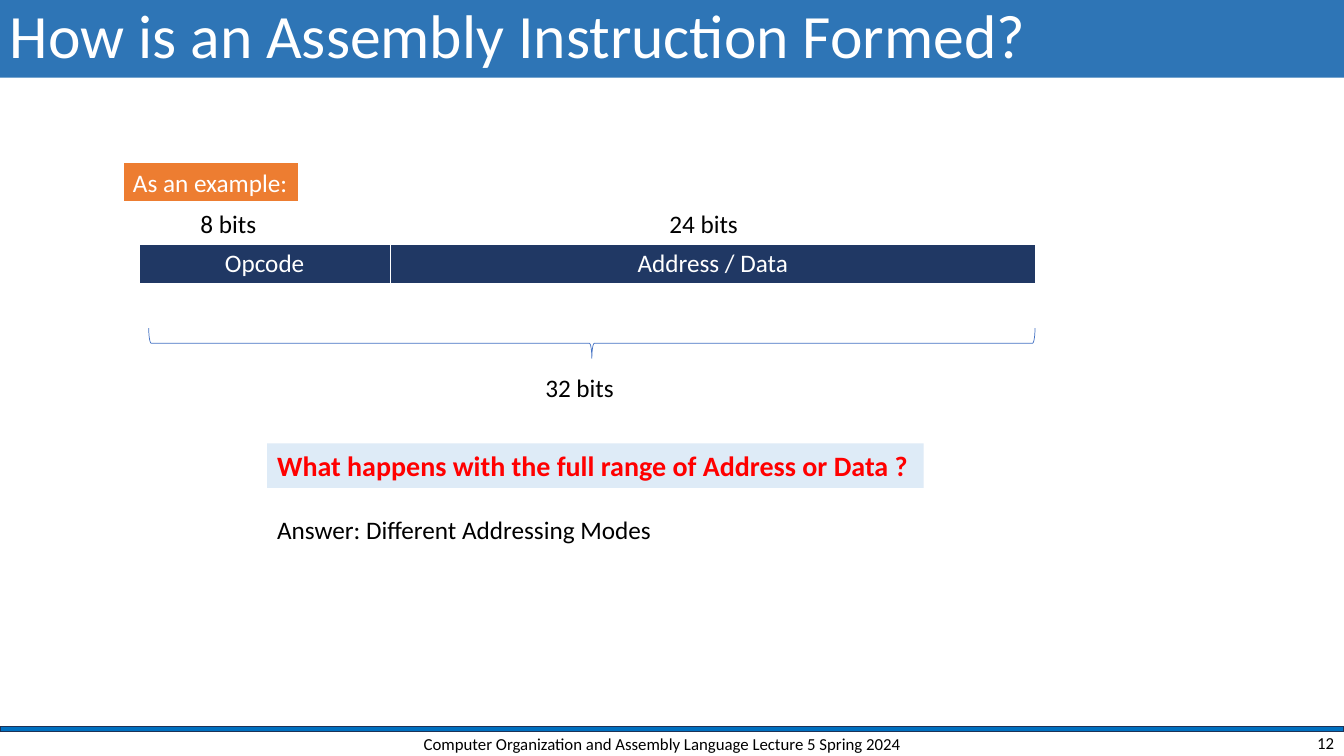
from lxml import etree
from pptx import Presentation
from pptx.dml.color import RGBColor
from pptx.enum.shapes import MSO_SHAPE
from pptx.enum.text import MSO_ANCHOR, MSO_AUTO_SIZE, PP_ALIGN
from pptx.oxml.ns import qn
from pptx.util import Emu, Pt

RECTANGLE, BRACE = MSO_SHAPE.RECTANGLE, MSO_SHAPE.LEFT_BRACE
LEFT, CENTER, RIGHT = PP_ALIGN.LEFT, PP_ALIGN.CENTER, PP_ALIGN.RIGHT
TOP, MIDDLE = MSO_ANCHOR.TOP, MSO_ANCHOR.MIDDLE
GROW = MSO_AUTO_SIZE.SHAPE_TO_FIT_TEXT

EMU_PER_PX = 9144  # 100 px to the inch
SLIDE_SIZE = (1333, 750)
FONT = "Calibri"
BLACK, WHITE = "000000", "FFFFFF"

# place (left, top, width, height), fill, line, line width, text, text format
FOOTER_RULE = ((0, 721, 1333, 5), "0070C0", "1E3256", 1, None, {})
TITLE_BAR = ((0, 0, 1333, 77), "2E75B6", None, 0,
             "How is an Assembly Instruction Formed?",
             {"size": 44, "color": WHITE, "anchor": MIDDLE, "wrap": True, "spacing": 0.9})
QUESTION = ((265, 440, 651, 44), "DEEBF7", None, 0,
            "What happens with the full range of Address or Data ?",
            {"size": 20, "color": "FF0000", "bold": True})
EXAMPLE_TAG = ((122, 161, 175, 40), "ED7D31", WHITE, 1.5, "As an example:", {"color": WHITE})
PANELS = [FOOTER_RULE, TITLE_BAR, QUESTION, EXAMPLE_TAG]

FOOTER = {"size": 12, "anchor": MIDDLE, "wrap": True}
LABELS = [
    ((392, 724, 530, 28), "Computer Organization and Assembly Language Lecture 5 Spring 2024",
     {**FOOTER, "align": CENTER}),
    ((1033, 724, 300, 25), "12", {**FOOTER, "align": RIGHT}),
    ((189, 202, 76, 40), "8 bits", {}),
    ((654, 202, 89, 40), "24 bits", {}),
    ((531, 364, 89, 40), "32 bits", {}),
    ((265, 505, 396, 40), "Answer: Different Addressing Modes", {}),
]

FIELDS = [("Opcode", 249), ("Address / Data", 640)]
FIELDS_LEFT, FIELDS_TOP, FIELDS_HEIGHT = 138, 242, 41
FIELD_FILL = "203864"
FIELD_BORDERS = [("lnL", 1), ("lnR", 1), ("lnT", 1), ("lnB", 3)]

BRACE_PLACE = (572, -99, 30, 879)  # before its quarter turn
BRACE_LINE = "4472C4"


def px(value):
    return Emu(value * EMU_PER_PX)


def rgb(value):
    return RGBColor.from_string(value)


def write(frame, text, size=18, color=BLACK, bold=False, align=LEFT,
          anchor=TOP, wrap=False, spacing=None):
    frame.word_wrap = wrap
    frame.vertical_anchor = anchor
    if not wrap:
        frame.auto_size = GROW
    write_para(frame.paragraphs[0], text, size, color, bold, align, spacing)


def write_para(para, text, size=18, color=BLACK, bold=False, align=LEFT, spacing=None):
    para.alignment = align
    para.line_spacing = spacing
    span = para.add_run()
    span.text = text
    span.font.name = FONT
    span.font.size = Pt(size)
    span.font.bold = bold
    span.font.color.rgb = rgb(color)


def add_shape(page, preset, place, fill=None, line=None, line_width=0):
    shape = page.shapes.add_shape(preset, *map(px, place))
    shape.shadow.inherit = False
    if fill:
        shape.fill.solid()
        shape.fill.fore_color.rgb = rgb(fill)
    else:
        shape.fill.background()
    if line:
        shape.line.color.rgb = rgb(line)
        shape.line.width = Pt(line_width)
    else:
        shape.line.fill.background()
    return shape


def add_borders(cell):
    properties = cell._tc.get_or_add_tcPr()
    for position, (side, width) in enumerate(FIELD_BORDERS):
        border = etree.Element(qn(f"a:{side}"), w=str(Pt(width)))
        fill = etree.SubElement(border, qn("a:solidFill"))
        etree.SubElement(fill, qn("a:srgbClr"), val=WHITE)
        properties.insert(position, border)


def add_fields(page):
    total = sum(width for _, width in FIELDS)
    place = (FIELDS_LEFT, FIELDS_TOP, total, FIELDS_HEIGHT)
    table = page.shapes.add_table(1, len(FIELDS), *map(px, place)).table
    table.horz_banding = False
    table.first_row = False
    for column, (name, width) in enumerate(FIELDS):
        table.columns[column].width = px(width)
        cell = table.cell(0, column)
        cell.fill.solid()
        cell.fill.fore_color.rgb = rgb(FIELD_FILL)
        add_borders(cell)
        write_para(cell.text_frame.paragraphs[0], name, color=WHITE, align=CENTER)


def main():
    deck = Presentation()
    deck.slide_width, deck.slide_height = map(px, SLIDE_SIZE)
    page = deck.slides.add_slide(deck.slide_layouts[6])
    for place, fill, line, line_width, text, style in PANELS:
        panel = add_shape(page, RECTANGLE, place, fill, line, line_width)
        if text:
            write(panel.text_frame, text, **style)
    add_fields(page)
    brace = add_shape(page, BRACE, BRACE_PLACE, line=BRACE_LINE, line_width=0.5)
    brace.rotation = 270
    for place, text, style in LABELS:
        box = page.shapes.add_textbox(*map(px, place))
        write(box.text_frame, text, **style)
    deck.save("out.pptx")


if __name__ == "__main__":
    main()
